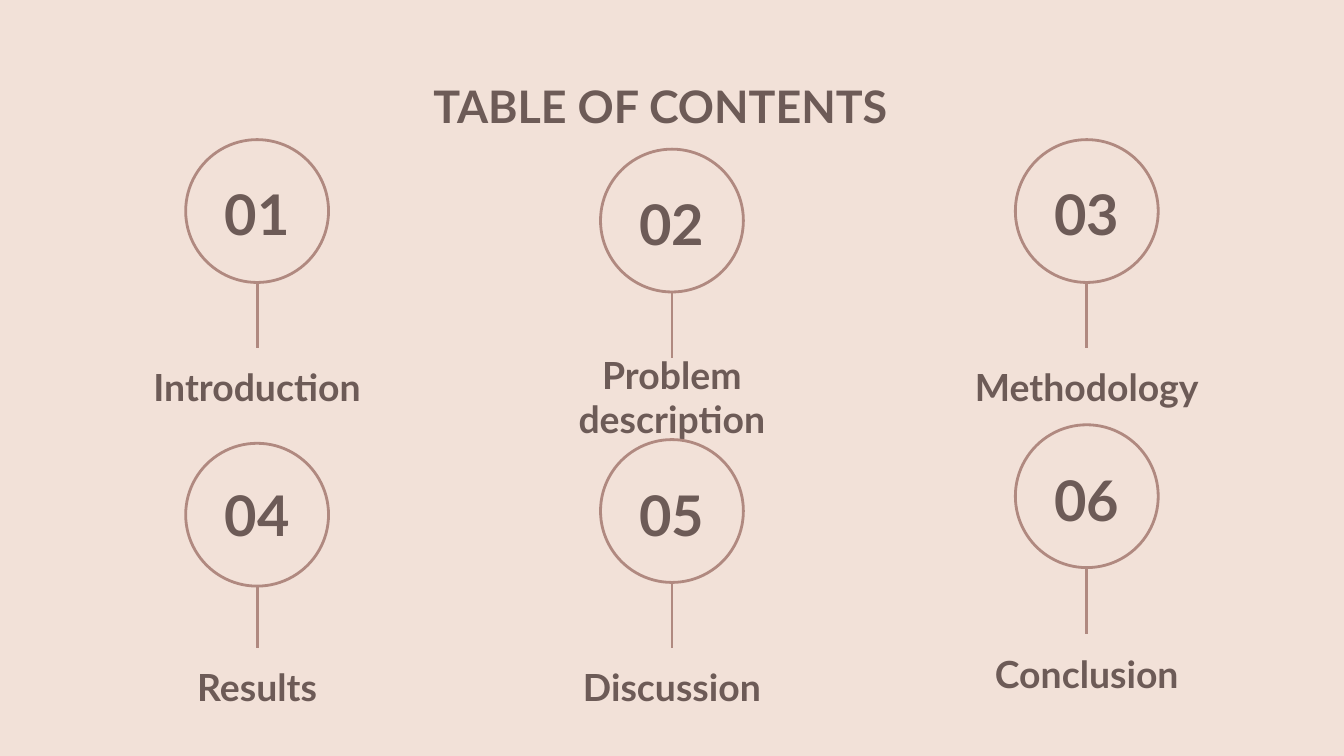
from pptx import Presentation
from pptx.dml.color import RGBColor
from pptx.enum.shapes import MSO_CONNECTOR, MSO_SHAPE
from pptx.enum.text import MSO_ANCHOR, PP_ALIGN
from pptx.oxml.ns import qn
from pptx.util import Cm, Pt
from lxml import etree

OVAL, LINE = MSO_SHAPE.OVAL, MSO_CONNECTOR.STRAIGHT
TOP, MIDDLE, CENTER = MSO_ANCHOR.TOP, MSO_ANCHOR.MIDDLE, PP_ALIGN.CENTER

# Content: label, then the tops of circle, number and label in cm
TITLE = "TABLE OF CONTENTS"
ITEMS = [
    ("Introduction", 2.64, 3.2, 6.58),
    ("Problem description", 2.82, 3.4, 6.76),
    ("Methodology", 2.64, 3.2, 6.58),
    ("Results", 8.38, 8.89, 12.24),
    ("Discussion", 8.31, 8.89, 12.24),
    ("Conclusion", 8.03, 8.61, 11.99),
]
FONT, INK, ROSE, PAPER = "Lato", "6D5B57", "B08980", "F2E1D8"

# Grid in cm
COLS, FIRST, STEP = 3, 4.86, 7.84
RING, WIDE, INSET = 2.7, 6.5, 0.25


def color(code):
    return RGBColor.from_string(code)


def stroke(shape):
    shape.line.color.rgb = color(ROSE)
    shape.line.width = Pt(1.5)


def add_text(text, left, top, width, height, size, anchor=MIDDLE, right=INSET):
    box = slide.shapes.add_textbox(Cm(left), Cm(top), Cm(width), Cm(height))
    frame = box.text_frame
    frame.word_wrap = True
    frame.vertical_anchor = anchor
    frame.margin_left = frame.margin_top = frame.margin_bottom = Cm(INSET)
    frame.margin_right = Cm(right)
    para = frame.paragraphs[0]
    para.alignment = CENTER
    run = para.add_run()
    run.text = text
    run.font.name, run.font.size, run.font.bold = FONT, Pt(size), True
    run.font.color.rgb = color(INK)


def add_ring(mid, top):
    ring = slide.shapes.add_shape(OVAL, Cm(mid - RING / 2), Cm(top), Cm(RING), Cm(RING))
    ring.shadow.inherit = False
    ring.fill.background()
    stroke(ring)


def add_stem(mid, top, end):
    stem = slide.shapes.add_connector(LINE, Cm(mid), Cm(top), Cm(mid), Cm(end))
    stroke(stem)
    etree.SubElement(stem._element.spPr, qn("a:effectLst"))


# Slide
deck = Presentation()
deck.slide_width, deck.slide_height = Cm(25.4), Cm(14.29)
slide = deck.slides.add_slide(deck.slide_layouts[6])
slide.background.fill.solid()
slide.background.fill.fore_color.rgb = color(PAPER)

# Title, set slightly left of centre by its right inset
add_text(TITLE, 2, 1.24, 21.4, 1.6, 24, TOP, 0.69)

# Numbered items
for i, (label, ring_top, num_top, label_top) in enumerate(ITEMS):
    mid = FIRST + i % COLS * STEP
    left = mid - WIDE / 2
    add_text(label, left, label_top, WIDE, 1.47, 20)
    add_ring(mid, ring_top)
    add_stem(mid, ring_top + RING, label_top)
    add_text(f"{i + 1:02}", left, num_top, WIDE, 1.65, 30)

deck.save("out.pptx")
